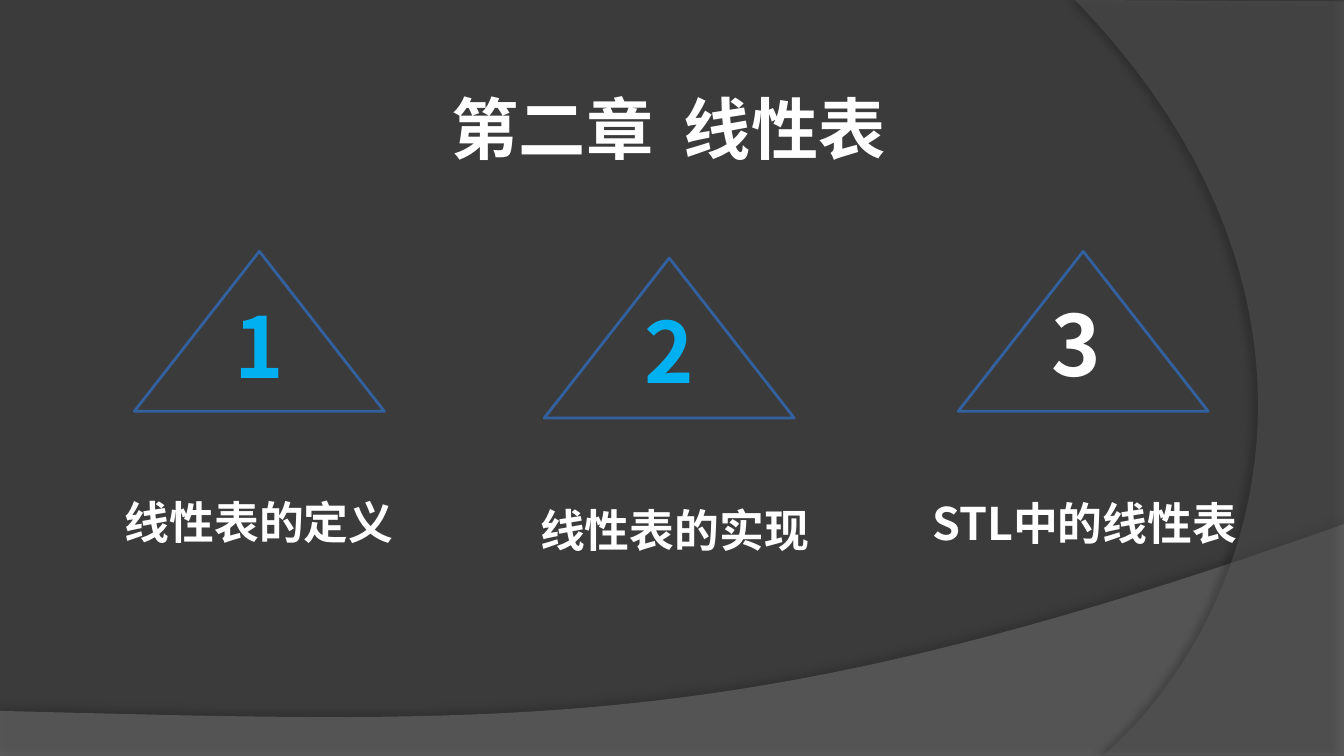
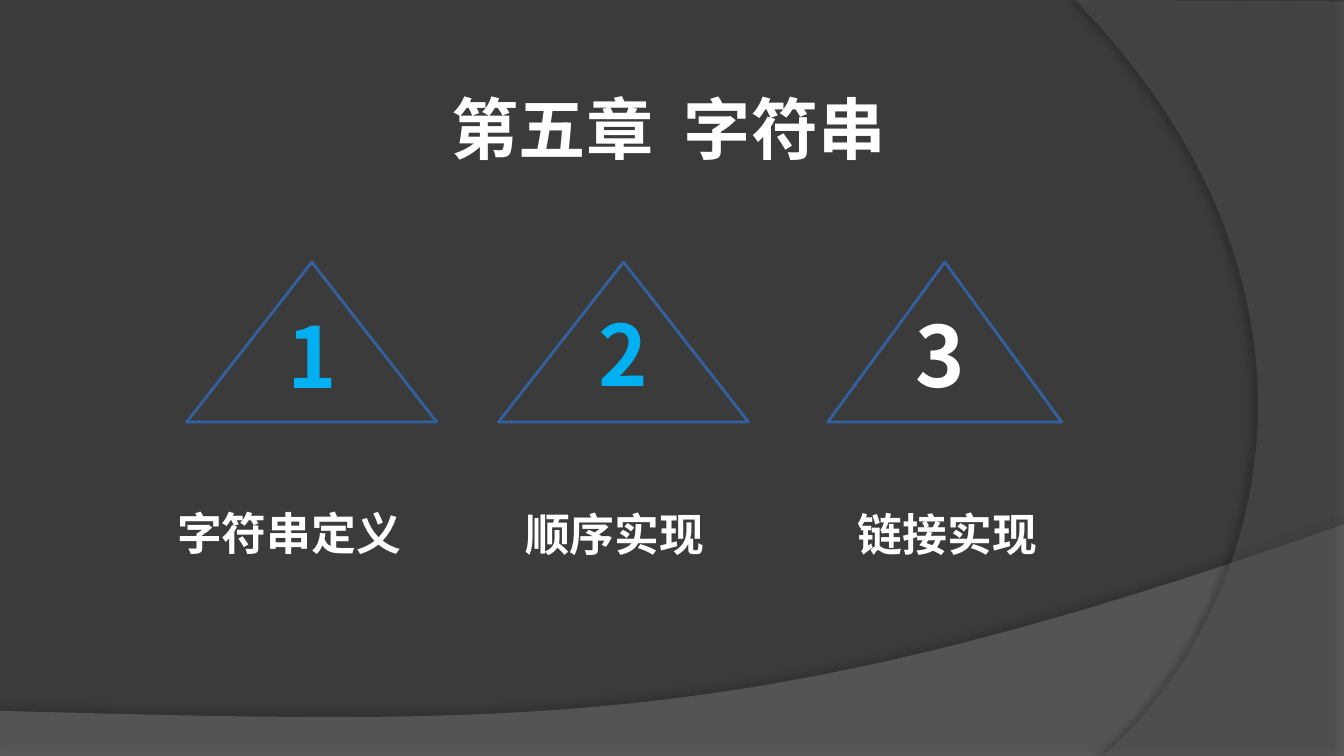
from dataclasses import dataclass

from lxml.etree import SubElement
from pptx import Presentation
from pptx.dml.color import RGBColor
from pptx.enum.shapes import MSO_SHAPE as Preset
from pptx.enum.text import MSO_AUTO_SIZE as AutoSize, PP_ALIGN as Align
from pptx.oxml.ns import qn
from pptx.util import Inches, Pt

FONT = "Noto Sans CJK SC"
BACKGROUND, WHITE, CYAN, OUTLINE = "3B3B3B", "FFFFFF", "00B0F0", "33619F"
PEAK_HEIGHT = 1.19
NUMBER_WIDTH, NUMBER_HEIGHT = 1.76, 0.86
LABEL_HEIGHT = 0.71
CURVE_STEPS = 40

Point = tuple[float, float]


@dataclass(frozen=True)
class Band:
    """A translucent sheet whose curved edge casts a shadow."""
    corners: tuple[Point, ...]
    controls: tuple[Point, Point]
    curve_end: Point
    color: str
    opacity: int
    shadow_opacity: int
    shadow_distance: float
    shadow_angle: int


@dataclass(frozen=True)
class Section:
    """A numbered peak with the section name below it."""
    name: str
    left: float
    top: float
    label_left: float
    label_top: float
    label_width: float
    number_top: float
    peak_width: float = 1.86
    number_shift: float = 0
    number_color: str = CYAN
    align: Align = Align.LEFT


@dataclass(frozen=True)
class Chapter:
    """A chapter slide."""
    title: str
    sections: tuple[Section, ...]


BANDS = (
    Band(((0, 5.29), (0, 5.63), (10, 5.63), (10, 3.9)),
         ((5.59, 5.47), (3.91, 5.39)), (0, 5.29), "7F7F7F", 45, 35, 3.5, 270),
    Band(((10, 0.01), (10, 5.62), (8.21, 5.62)),
         ((9.35, 4.64), (10.18, 2.25)), (8, 0), "5E5E5E", 40, 45, 4, 180),
)

CHAPTERS = (
    Chapter("第二章  线性表", (
        Section("线性表的定义", 1, 1.87, 0.83, 3.43, 2.36, 2.14),
        Section("线性表的实现", 4.05, 1.92, 3.92, 3.49, 2.26, 2.18),
        Section("STL中的线性表", 7.13, 1.87, 6.81, 3.44, 2.52, 2.13,
                number_shift=-0.05, number_color=WHITE, align=Align.CENTER),
    )),
    Chapter("第五章  字符串", (
        Section("字符串定义", 1.39, 1.95, 1.22, 3.51, 2.36, 2.22),
        Section("顺序实现", 3.71, 1.95, 3.81, 3.52, 2.03, 2.2),
        Section("链接实现", 6.16, 1.95, 5.87, 3.52, 2.36, 2.21, peak_width=1.74,
                number_shift=-0.03, number_color=WHITE, align=Align.CENTER),
    )),
)


def rgb(color: str) -> RGBColor:
    """Turn a hex string into a colour."""
    return RGBColor.from_string(color)


def bezier(start: Point, controls: tuple[Point, Point], end: Point) -> list[Point]:
    """Sample a cubic curve, leaving out its start."""
    knots = (start, *controls, end)
    curve = []
    for step in range(1, CURVE_STEPS + 1):
        t = step / CURVE_STEPS
        weights = ((1 - t) ** 3, 3 * t * (1 - t) ** 2, 3 * t * t * (1 - t), t ** 3)
        curve.append(tuple(sum(w * knot[axis] for w, knot in zip(weights, knots))
                           for axis in (0, 1)))
    return curve


def set_opacity(color_element, percent: int) -> None:
    """Make a colour element translucent."""
    SubElement(color_element, qn("a:alpha"), val=str(percent * 1000))


def draw_band(slide, band: Band) -> None:
    """Draw a curved band with its shadow."""
    outline = [*band.corners, *bezier(band.corners[-1], band.controls, band.curve_end)]
    points = [(Inches(x), Inches(y)) for x, y in outline]
    builder = slide.shapes.build_freeform(*points[0])
    builder.add_line_segments(points[1:], close=True)
    sheet = builder.convert_to_shape()
    sheet.fill.solid()
    sheet.fill.fore_color.rgb = rgb(band.color)
    sheet.line.fill.background()
    sheet.shadow.inherit = False
    properties = sheet._element.spPr
    set_opacity(properties.find(qn("a:solidFill")).find(qn("a:srgbClr")), band.opacity)
    shadow = SubElement(properties.find(qn("a:effectLst")), qn("a:outerShdw"),
                        blurRad=str(Pt(4)), dist=str(Pt(band.shadow_distance)),
                        dir=str(band.shadow_angle * 60000), algn="ctr", rotWithShape="0")
    set_opacity(SubElement(shadow, qn("a:srgbClr"), val="000000"), band.shadow_opacity)


def write(shapes, text: str, box: tuple[float, float, float, float], size: float,
          color: str = WHITE, align: Align = Align.CENTER, spacing: float = 1.0,
          insets: Point = (0.1, 0.05)) -> None:
    """Write one bold paragraph in a box given in inches."""
    frame = shapes.add_textbox(*map(Inches, box)).text_frame
    frame.word_wrap = True
    frame.auto_size = AutoSize.SHAPE_TO_FIT_TEXT
    frame.margin_left = frame.margin_right = Inches(insets[0])
    frame.margin_top = frame.margin_bottom = Inches(insets[1])
    paragraph = frame.paragraphs[0]
    paragraph.alignment = align
    paragraph.line_spacing = spacing
    run = paragraph.add_run()
    run.text = text
    run.font.size = Pt(size)
    run.font.bold = True
    run.font.name = FONT
    run.font.color.rgb = rgb(color)
    SubElement(run.font._element, qn("a:ea"), typeface=FONT)


def draw_section(slide, number: int, section: Section) -> None:
    """Draw a section's label, peak and number as one group."""
    shapes = slide.shapes.add_group_shape().shapes
    write(shapes, section.name,
          (section.label_left, section.label_top, section.label_width, LABEL_HEIGHT),
          24, align=section.align, spacing=1.5)
    peak = shapes.add_shape(Preset.ISOSCELES_TRIANGLE, Inches(section.left),
                            Inches(section.top), Inches(section.peak_width),
                            Inches(PEAK_HEIGHT))
    peak.fill.background()
    peak.line.color.rgb = rgb(OUTLINE)
    peak.line.width = Pt(1.5)
    peak.shadow.inherit = False
    number_left = section.left + (section.peak_width - NUMBER_WIDTH) / 2 + section.number_shift
    write(shapes, str(number),
          (number_left, section.number_top, NUMBER_WIDTH, NUMBER_HEIGHT),
          45, section.number_color)


def draw_chapter(deck, chapter: Chapter) -> None:
    """Add a chapter slide."""
    slide = deck.slides.add_slide(deck.slide_layouts[6])
    for band in BANDS:
        draw_band(slide, band)
    write(slide.shapes, chapter.title, (3.16, 0.46, 3.63, 0.83), 36,
          spacing=1.25, insets=(0.07, 0.04))
    for number, section in enumerate(chapter.sections, 1):
        draw_section(slide, number, section)


def main() -> None:
    """Build the deck."""
    deck = Presentation()
    deck.slide_width = Inches(10)
    deck.slide_height = Inches(10 * 9 / 16)
    backdrop = deck.slide_master.background.fill
    backdrop.solid()
    backdrop.fore_color.rgb = rgb(BACKGROUND)
    for chapter in CHAPTERS:
        draw_chapter(deck, chapter)
    deck.save("out.pptx")


if __name__ == "__main__":
    main()
